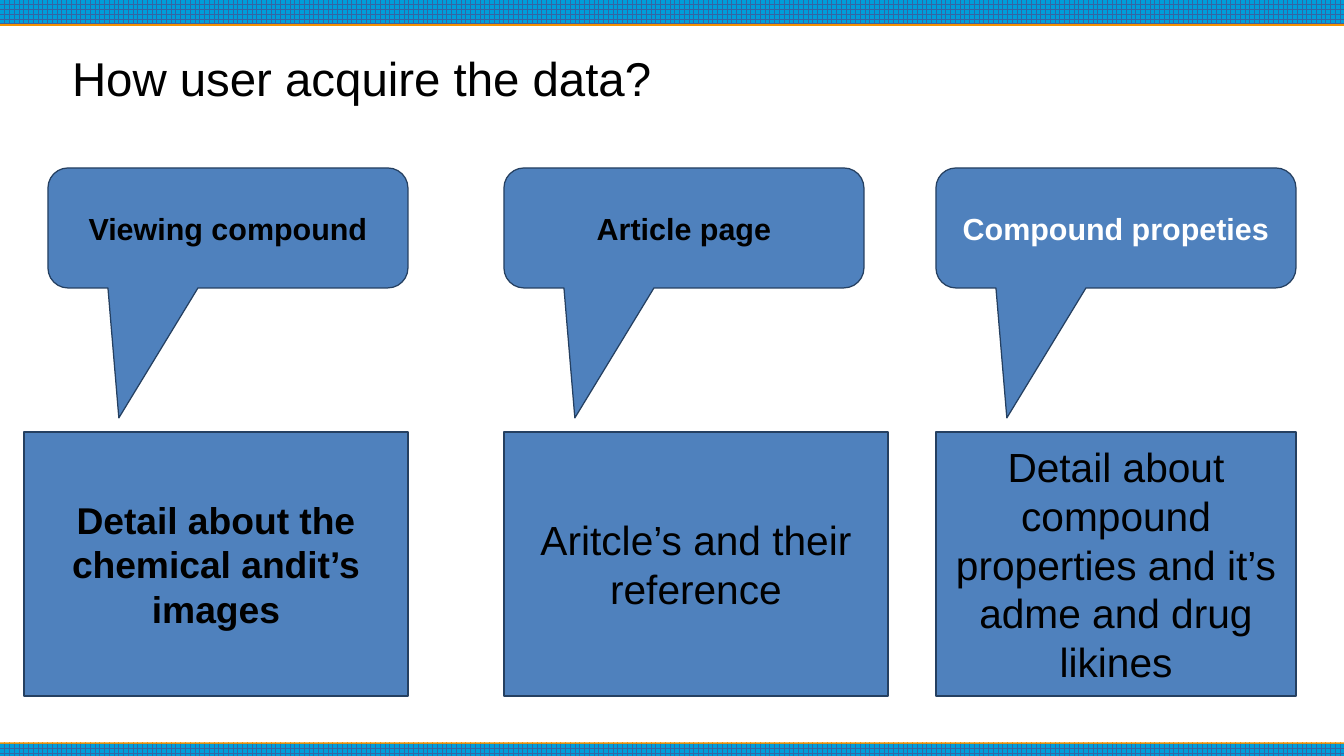
from dataclasses import dataclass

from lxml import etree
from pptx import Presentation
from pptx.dml.color import RGBColor
from pptx.enum.dml import MSO_PATTERN
from pptx.enum.shapes import MSO_SHAPE
from pptx.enum.text import MSO_ANCHOR, MSO_AUTO_SIZE, PP_ALIGN
from pptx.oxml.ns import qn
from pptx.util import Cm, Pt

RECTANGLE = MSO_SHAPE.RECTANGLE
CALLOUT = MSO_SHAPE.ROUNDED_RECTANGULAR_CALLOUT
LARGE_GRID = MSO_PATTERN.LARGE_GRID
MIDDLE = MSO_ANCHOR.MIDDLE
NO_AUTO_SIZE = MSO_AUTO_SIZE.NONE
LEFT, CENTER = PP_ALIGN.LEFT, PP_ALIGN.CENTER
TITLE_ONLY = 5


@dataclass(frozen=True)
class Theme:
    font: str = "Arial"
    black: str = "000000"
    white: str = "FFFFFF"
    panel: str = "4F81BD"
    outline: str = "254061"
    band: str = "009EDA"
    band_grid: str = "3465A4"
    band_edge: str = "F49100"
    title_size: int = 28
    callout_size: int = 18
    bold_detail_size: int = 22
    detail_size: int = 24


THEME = Theme()
WIDTH, HEIGHT = 28, 15.75

# left, heading, heading colour
CALLOUTS = [
    (1, "Viewing compound", THEME.black),
    (10.5, "Article page", THEME.black),
    (19.5, "Compound propeties", THEME.white),
]
# left, width, detail, size, bold
DETAILS = [
    (0.5, 8, "Detail about the chemical andit’s images", THEME.bold_detail_size, True),
    (10.5, 8, "Aritcle’s and their reference", THEME.detail_size, False),
    (19.5, 7.5, "Detail about compound properties and it’s adme and drug likines",
     THEME.detail_size, False),
]


def color(value):
    return RGBColor.from_string(value)


def write_text(shape, text, size, text_color, bold=False, alignment=CENTER):
    frame = shape.text_frame
    frame.text = text
    frame.word_wrap = True
    frame.auto_size = NO_AUTO_SIZE
    frame.vertical_anchor = MIDDLE
    paragraph = frame.paragraphs[0]
    paragraph.alignment = alignment
    font = paragraph.runs[0].font
    font.name = THEME.font
    font.size = Pt(size)
    font.bold = bold
    font.color.rgb = color(text_color)


def add_band(slide, top, height, shadow_angle):
    """Add a gridded band with a thin hard-edged shadow along one side."""
    band = slide.shapes.add_shape(RECTANGLE, 0, Cm(top), Cm(WIDTH), Cm(height))
    band.fill.patterned()
    band.fill.pattern = LARGE_GRID
    band.fill.fore_color.rgb = color(THEME.band_grid)
    band.fill.back_color.rgb = color(THEME.band)
    band.line.fill.background()
    band.shadow.inherit = False
    effects = band._element.spPr.find(qn("a:effectLst"))
    shadow = etree.SubElement(
        effects, qn("a:outerShdw"), blurRad="0", dist=str(Pt(0.9)),
        dir=str(shadow_angle * 60000), algn="ctr", rotWithShape="0")
    etree.SubElement(shadow, qn("a:srgbClr"), val=THEME.band_edge)


def add_title(slide, text):
    title = slide.shapes.title
    title.left, title.top = Cm(1.5), Cm(0.75)
    title.width, title.height = Cm(21), Cm(1.75)
    write_text(title, text, THEME.title_size, THEME.black, alignment=LEFT)
    frame = title.text_frame
    frame.margin_left = frame.margin_right = 0
    frame.margin_top = frame.margin_bottom = 0


def add_panel(slide, kind, left, top, width, height):
    panel = slide.shapes.add_shape(kind, Cm(left), Cm(top), Cm(width), Cm(height))
    panel.fill.solid()
    panel.fill.fore_color.rgb = color(THEME.panel)
    panel.line.color.rgb = color(THEME.outline)
    panel.line.width = Pt(0)
    panel.shadow.inherit = False
    return panel


def add_callout(slide, left, text, text_color):
    callout = add_panel(slide, CALLOUT, left, 3.5, 7.5, 2.5)
    for index, value in enumerate((-0.303, 1.583, 0.167)):
        callout.adjustments[index] = value
    write_text(callout, text, THEME.callout_size, text_color, bold=True)


def add_detail(slide, left, width, text, size, bold):
    detail = add_panel(slide, RECTANGLE, left, 9, width, 5.5)
    write_text(detail, text, size, THEME.black, bold)


def main():
    presentation = Presentation()
    presentation.slide_width = Cm(WIDTH)
    presentation.slide_height = Cm(HEIGHT)
    slide = presentation.slides.add_slide(presentation.slide_layouts[TITLE_ONLY])

    # Top and bottom bands
    add_band(slide, 0, 0.5, 90)
    add_band(slide, HEIGHT - 0.25, 0.25, 270)

    # Title
    add_title(slide, "How user acquire the data?")

    # Callouts above their details
    for callout in CALLOUTS:
        add_callout(slide, *callout)
    for detail in DETAILS:
        add_detail(slide, *detail)

    presentation.save("out.pptx")


if __name__ == "__main__":
    main()
